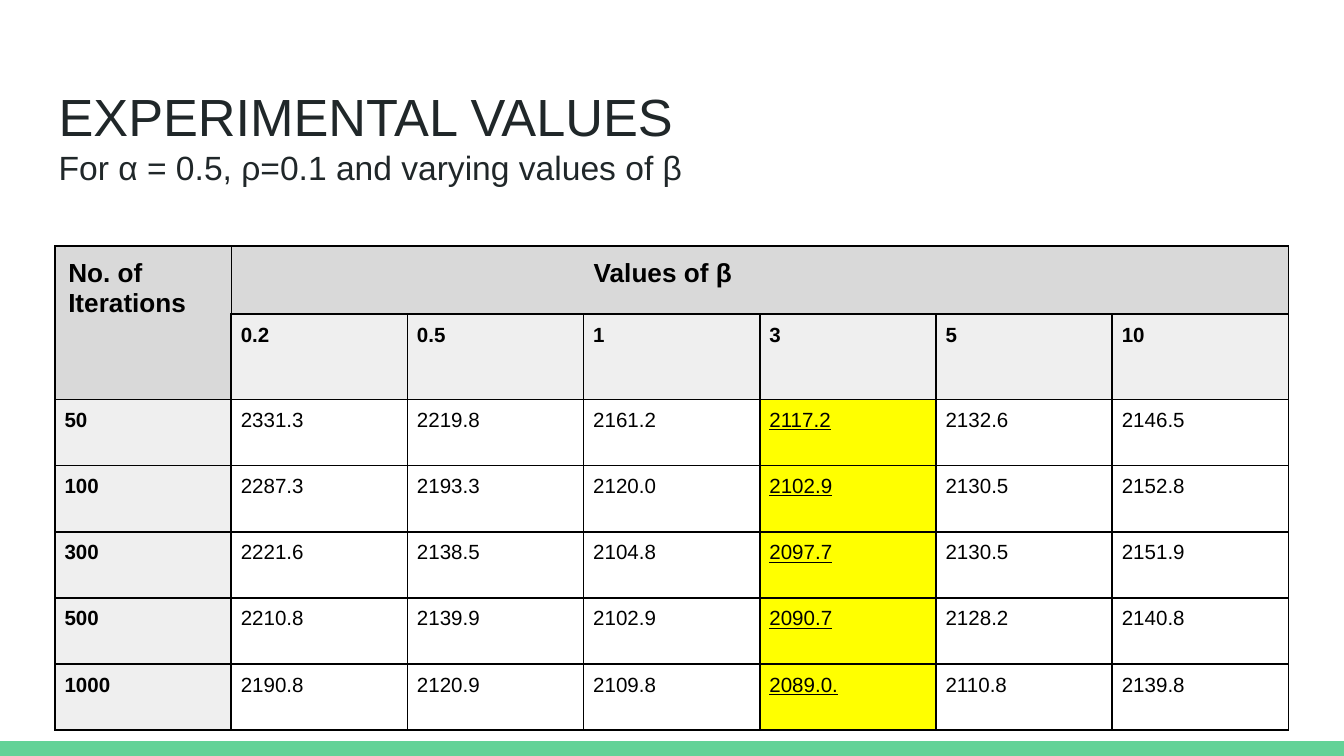
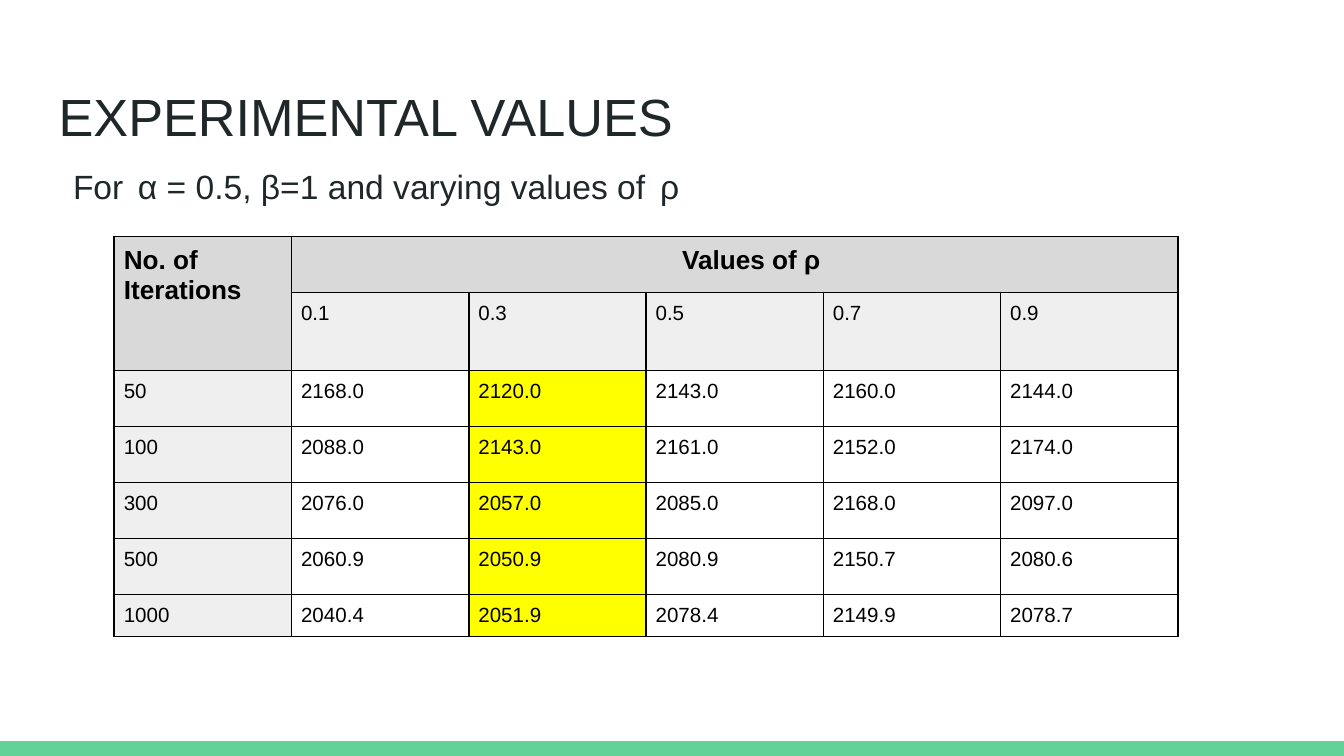
"""Build two slides of experimental values, each with a grouped-header table."""
import dataclasses

import lxml.etree
import pptx
import pptx.dml.color
import pptx.enum.shapes
import pptx.enum.text
import pptx.oxml.ns
import pptx.util

Cm = pptx.util.Cm
Pt = pptx.util.Pt
qn = pptx.oxml.ns.qn


@dataclasses.dataclass(frozen=True)
class Theme:
    """Colours, font and type sizes shared by the slides."""
    font: str = "Arial"
    title_ink: str = "202729"
    ink: str = "000000"
    band: str = "63D297"
    header: str = "D9D9D9"
    label: str = "EFEFEF"
    best: str = "FFFF00"
    title_size: int = 28
    subtitle_size: int = 18
    header_size: int = 14
    body_size: int = 11


@dataclasses.dataclass(frozen=True)
class Grid:
    """Content and measures, in centimetres, of one results table."""
    parameter: str
    settings: list
    results: dict
    best_column: int
    left: float
    top: float
    column_width: float
    row_heights: list
    header_inset: float
    header_indent: float
    header_line: float = 1
    emphasis: bool = False


THEME = Theme()
CELL_INSET = 0.18
SIDES = ("L", "R", "T", "B")

BETA_GRID = Grid(
    parameter="β",
    settings=["0.2", "0.5", "1", "3", "5", "10"],
    results={
        "50": ["2331.3", "2219.8", "2161.2", "2117.2", "2132.6", "2146.5"],
        "100": ["2287.3", "2193.3", "2120.0", "2102.9", "2130.5", "2152.8"],
        "300": ["2221.6", "2138.5", "2104.8", "2097.7", "2130.5", "2151.9"],
        "500": ["2210.8", "2139.9", "2102.9", "2090.7", "2128.2", "2140.8"],
        "1000": ["2190.8", "2120.9", "2109.8", "2089.0.", "2110.8", "2139.8"],
    },
    best_column=4, left=1.04, top=4.65, column_width=3.33,
    row_heights=[1.29] + [1.25] * 6,
    header_inset=0.25, header_indent=6.6, header_line=0.75, emphasis=True,
)

RHO_GRID = Grid(
    parameter="ρ",
    settings=["0.1", "0.3", "0.5", "0.7", "0.9"],
    results={
        "50": ["2168.0", "2120.0", "2143.0", "2160.0", "2144.0"],
        "100": ["2088.0", "2143.0", "2161.0", "2152.0", "2174.0"],
        "300": ["2076.0", "2057.0", "2085.0", "2168.0", "2097.0"],
        "500": ["2060.9", "2050.9", "2080.9", "2150.7", "2080.6"],
        "1000": ["2040.4", "2051.9", "2078.4", "2149.9", "2078.7"],
    },
    best_column=2, left=2.16, top=4.47, column_width=3.35,
    row_heights=[1.06] * 6 + [0.79],
    header_inset=CELL_INSET, header_indent=7.2,
)


def rgb(value):
    """Return a colour object for a hex string."""
    return pptx.dml.color.RGBColor.from_string(value)


def add_span(para, text, size, color, bold=False, underline=False):
    """Append one formatted run to a paragraph."""
    span = para.add_run()
    span.text = text
    font = span.font
    font.name, font.size = THEME.font, Pt(size)
    font.bold, font.underline = bold, underline
    font.color.rgb = rgb(color)


def indent(para, distance):
    """Move a whole paragraph in from the left."""
    properties = para._p.get_or_add_pPr()
    properties.set("marL", str(Cm(distance)))
    properties.set("indent", "0")


def add_band(page, deck):
    """Draw the green band along the foot of the slide."""
    height = Cm(0.28)
    band = page.shapes.add_shape(
        pptx.enum.shapes.MSO_SHAPE.RECTANGLE,
        0, deck.slide_height - height, deck.slide_width, height)
    band.shadow.inherit = False
    band.fill.solid()
    band.fill.fore_color.rgb = rgb(THEME.band)
    band.line.fill.background()


def add_title(page, subtitle, subtitle_indent):
    """Fill the title placeholder with the heading and a subtitle of sized runs."""
    box = page.shapes.title
    box.left, box.top, box.width, box.height = Cm(0.86), Cm(1.24), Cm(23.67), Cm(3)
    frame = box.text_frame
    frame.word_wrap = True
    frame.auto_size = pptx.enum.text.MSO_AUTO_SIZE.NONE
    frame.vertical_anchor = pptx.enum.text.MSO_ANCHOR.TOP
    frame.margin_left = frame.margin_right = frame.margin_bottom = Cm(0.25)
    frame.margin_top = Cm(0.35)
    lines = [[("EXPERIMENTAL VALUES", THEME.title_size)], subtitle]
    for para, spans in zip((frame.paragraphs[0], frame.add_paragraph()), lines):
        para.alignment = pptx.enum.text.PP_ALIGN.LEFT
        para.space_before = Pt(0)
        for text, size in spans:
            add_span(para, text, size, THEME.title_ink)
    indent(frame.paragraphs[1], subtitle_indent)


def style_cell(cell, fill=None, inset=CELL_INSET, line=1):
    """Set the borders, margins and fill of a cell."""
    properties = cell._tc.get_or_add_tcPr()
    for side in SIDES:
        weight = 1 if side == "B" else line
        border = lxml.etree.SubElement(
            properties, qn(f"a:ln{side}"), w=str(Pt(weight)))
        solid = lxml.etree.SubElement(border, qn("a:solidFill"))
        lxml.etree.SubElement(solid, qn("a:srgbClr"), val=THEME.ink)
    cell.margin_left = cell.margin_right = Cm(inset)
    cell.margin_top = cell.margin_bottom = Cm(inset)
    if fill:
        cell.fill.solid()
        cell.fill.fore_color.rgb = rgb(fill)
    else:
        cell.fill.background()


def add_header(table, grid):
    """Merge and fill the two grouped header cells."""
    last = len(grid.settings)
    groups = [
        ((0, 0), (1, 0), "No. of Iterations", 0),
        ((0, 1), (0, last), f"Values of {grid.parameter}", grid.header_indent),
    ]
    for start, end, text, distance in groups:
        cell = table.cell(*start)
        cell.merge(table.cell(*end))
        para = cell.text_frame.paragraphs[0]
        indent(para, distance)
        add_span(para, text, THEME.header_size, THEME.ink, bold=True)


def add_results(page, grid):
    """Add the table of results for one varied parameter."""
    rows = [[""] * (len(grid.settings) + 1), ["", *grid.settings]]
    rows += [[count, *values] for count, values in grid.results.items()]
    columns = len(rows[0])
    table = page.shapes.add_table(
        len(rows), columns, Cm(grid.left), Cm(grid.top),
        Cm(grid.column_width * columns), Cm(sum(grid.row_heights))).table
    table.first_row = table.horz_banding = False
    for column in table.columns:
        column.width = Cm(grid.column_width)
    for row, height in zip(table.rows, grid.row_heights):
        row.height = Cm(height)
    for y, values in enumerate(rows):
        for x, text in enumerate(values):
            cell = table.cell(y, x)
            if not text:
                style_cell(cell, THEME.header, grid.header_inset, grid.header_line)
                continue
            label = y == 1 or x == 0
            best = not label and x == grid.best_column
            style_cell(cell, THEME.label if label else THEME.best if best else None)
            add_span(cell.text_frame.paragraphs[0], text, THEME.body_size, THEME.ink,
                     bold=label and grid.emphasis, underline=best and grid.emphasis)
    add_header(table, grid)


def add_page(deck, subtitle, subtitle_indent, grid):
    """Add one slide with band, title and results table."""
    page = deck.slides.add_slide(deck.slide_layouts[5])
    add_band(page, deck)
    add_title(page, subtitle, subtitle_indent)
    add_results(page, grid)


def main():
    """Build and save the deck."""
    deck = pptx.Presentation()
    deck.slide_width, deck.slide_height = Cm(25.4), Cm(14.29)
    small, wide_gap = THEME.subtitle_size, (" ", THEME.title_size)
    add_page(deck, [("For α = 0.5, ρ=0.1 and varying values of β", small)], 0, BETA_GRID)
    add_page(deck, [("For", small), wide_gap,
                    ("α = 0.5, β=1 and varying values of", small), wide_gap,
                    ("ρ", small)], 0.27, RHO_GRID)
    deck.save("out.pptx")


if __name__ == "__main__":
    main()
